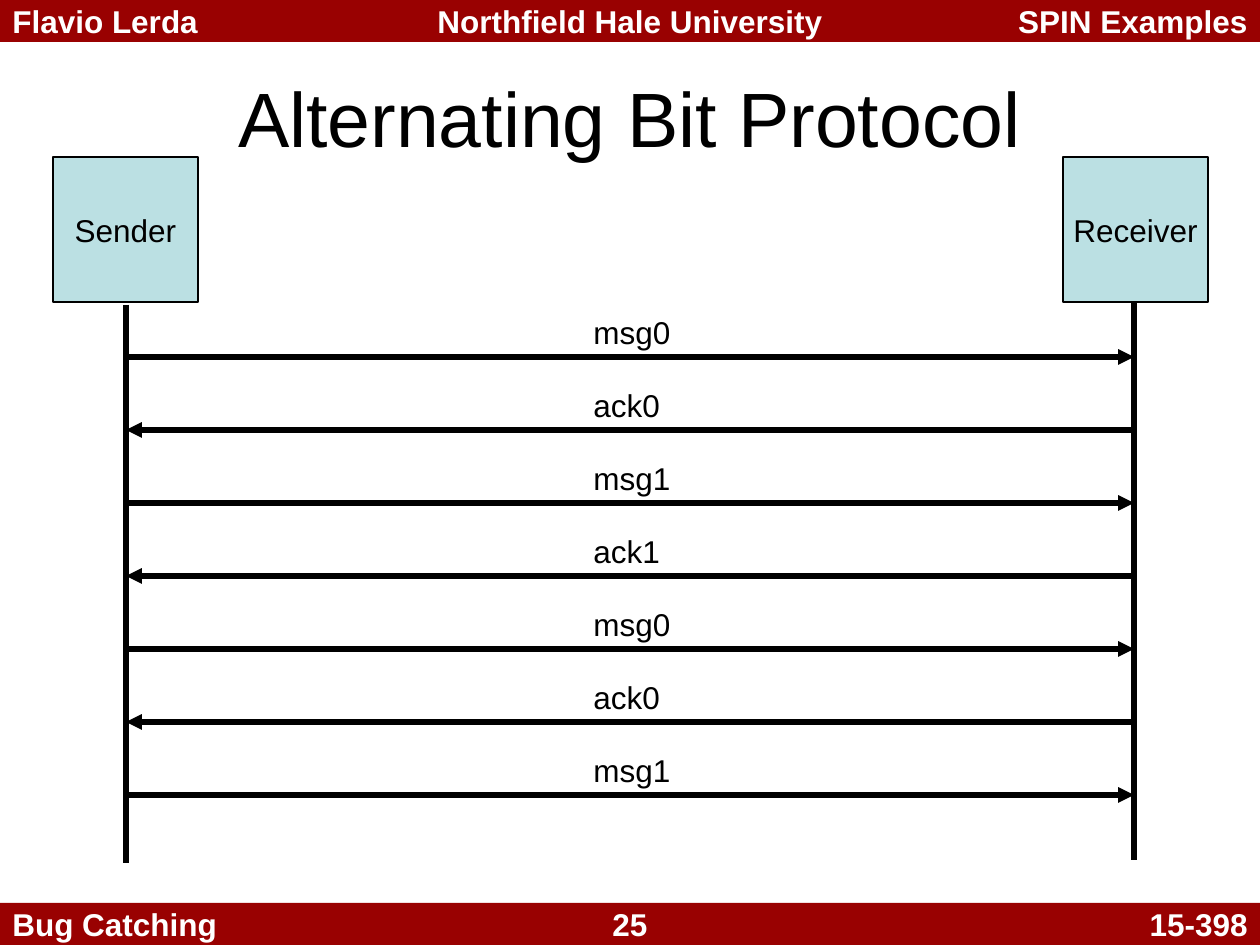
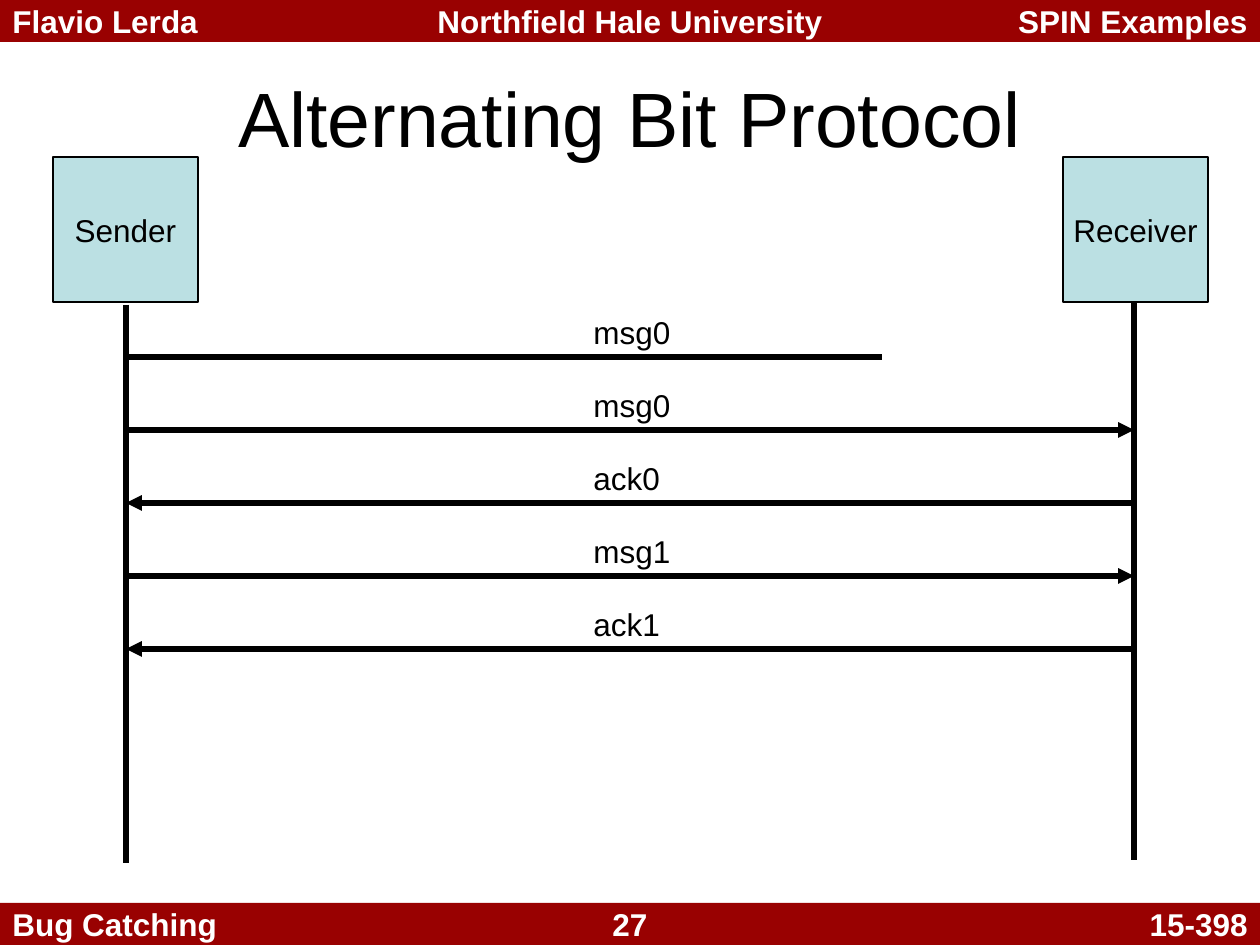
import pptx
import pptx.util
import pptx.dml.color
import pptx.enum.shapes
import pptx.enum.text
import pptx.oxml.ns
import lxml.etree

SCALE = 914400 / 126
WIDE, HIGH = 1260, 945
BAND = 42
RED, TEAL, BLACK, WHITE = "990101", "BBE0E3", "000000", "FFFFFF"
FONT = "Arial"
ALIGN = pptx.enum.text.PP_ALIGN
ANCHOR = pptx.enum.text.MSO_ANCHOR
HEAD = ("Flavio Lerda", "Northfield Hale University", "SPIN Examples")
TITLE = "Alternating Bit Protocol"
STEP = 73

# Each message: text, direction, share of the way it gets
SLIDES = [
    (25, [("msg0", "right", 1), ("ack0", "left", 1), ("msg1", "right", 1),
          ("ack1", "left", 1), ("msg0", "right", 1), ("ack0", "left", 1),
          ("msg1", "right", 1)]),
    (27, [("msg0", "right", 0.75), ("msg0", "right", 1), ("ack0", "left", 1),
          ("msg1", "right", 1), ("ack1", "left", 1)]),
]


def px(length):
    return pptx.util.Emu(round(length * SCALE))


def tint(code):
    return pptx.dml.color.RGBColor.from_string(code)


def write(shape, text, size=18, color=BLACK, bold=False, align=ALIGN.CENTER,
          anchor=ANCHOR.MIDDLE, wrap=True):
    frame = shape.text_frame
    frame.word_wrap = wrap
    frame.vertical_anchor = anchor
    frame.margin_top = frame.margin_bottom = 0
    para = frame.paragraphs[0]
    para.alignment = align
    run = para.add_run()
    run.text = text
    run.font.name = FONT
    run.font.size = pptx.util.Pt(size)
    run.font.bold = bold
    run.font.color.rgb = tint(color)


def label(slide, box, text, **style):
    write(slide.shapes.add_textbox(*map(px, box)), text, **style)


def block(slide, box, fill, line=None):
    shape = slide.shapes.add_shape(
        pptx.enum.shapes.MSO_SHAPE.RECTANGLE, *map(px, box))
    shape.shadow.inherit = False
    shape.fill.solid()
    shape.fill.fore_color.rgb = tint(fill)
    if line:
        shape.line.color.rgb = tint(line)
        shape.line.width = pptx.util.Pt(0.75)
    else:
        shape.line.fill.background()
    return shape


def stroke(slide, start, end, arrow=False):
    line = slide.shapes.add_connector(
        pptx.enum.shapes.MSO_CONNECTOR.STRAIGHT, *map(px, start + end))
    line.line.color.rgb = tint(BLACK)
    line.line.width = pptx.util.Pt(3)
    qn = pptx.oxml.ns.qn
    if arrow:
        lxml.etree.SubElement(line.line._get_or_add_ln(), qn("a:tailEnd"),
                              type="triangle")
    lxml.etree.SubElement(line._element.spPr, qn("a:effectLst"))


def band(slide, top, texts):
    """Draw a full-width bar with left, centre and right texts."""
    box = (0, top, WIDE, BAND)
    block(slide, box, RED)
    for text, align in zip(texts, (ALIGN.LEFT, ALIGN.CENTER, ALIGN.RIGHT)):
        label(slide, box, text, color=WHITE, bold=True, align=align)


def party(slide, box, name):
    write(block(slide, box, TEAL, BLACK), name, wrap=False)


def chart(slide, box, notes):
    """Draw two lifelines at the box sides and the messages between them."""
    left, top, width, height = box
    right = left + width
    stroke(slide, (left, top + 3), (left, top + height + 3))
    stroke(slide, (right, top), (right, top + height))
    for row, (text, way, share) in enumerate(notes):
        y = top + 55 + row * STEP
        start, sign = (left, 1) if way == "right" else (right, -1)
        stroke(slide, (start, y), (start + sign * width * share, y), share == 1)
        label(slide, (left + 455, y - 44, 110, 38), text, align=ALIGN.LEFT,
              anchor=ANCHOR.TOP)


def build(deck, number, notes):
    slide = deck.slides.add_slide(deck.slide_layouts[6])
    band(slide, 0, HEAD)
    band(slide, HIGH - BAND, ("Bug Catching", str(number), "15-398"))
    label(slide, (63, 38, 1134, 158), TITLE, size=44)
    for x, name in ((53, "Sender"), (1063, "Receiver")):
        party(slide, (x, 157, 145, 145), name)
    chart(slide, (126, 302, 1008, 558), notes)


def main():
    deck = pptx.Presentation()
    deck.slide_width, deck.slide_height = px(WIDE), px(HIGH)
    for number, notes in SLIDES:
        build(deck, number, notes)
    deck.save("out.pptx")


if __name__ == "__main__":
    main()
